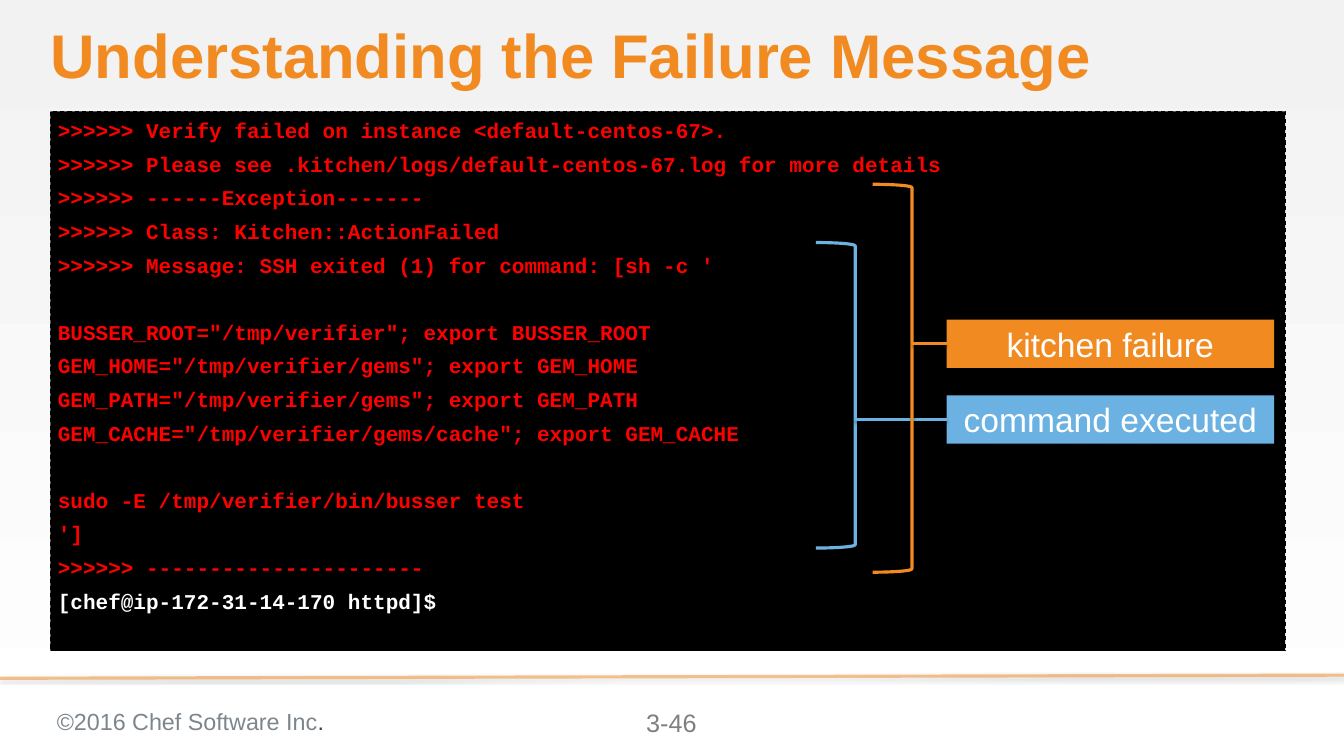
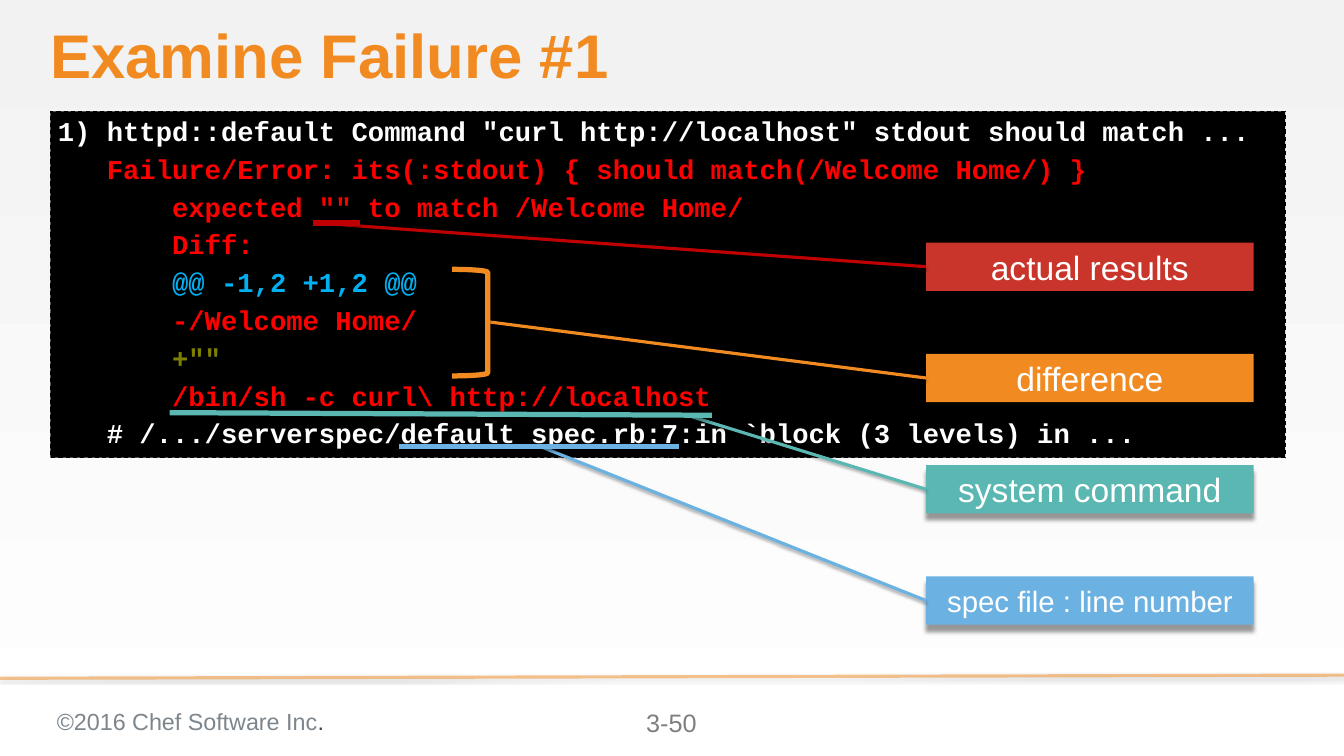
from lxml import etree
from pptx import Presentation
from pptx.dml.color import RGBColor
from pptx.enum.dml import MSO_LINE
from pptx.enum.shapes import MSO_CONNECTOR, MSO_SHAPE
from pptx.enum.text import MSO_ANCHOR as ANCHOR, PP_ALIGN as ALIGN
from pptx.oxml import parse_xml
from pptx.oxml.ns import nsdecls, qn
from pptx.util import Pt

# Colours
ORANGE = RGBColor(0xF1, 0x8B, 0x21)
BLUE = RGBColor(0x6B, 0xB2, 0xE2)
TEAL = RGBColor(0x5A, 0xB7, 0xB2)
BRICK = RGBColor(0xC9, 0x35, 0x2B)
DARK_RED = RGBColor(0xC0, 0x00, 0x00)
BLACK = RGBColor(0x00, 0x00, 0x00)
WHITE = RGBColor(0xFF, 0xFF, 0xFF)
PALE = RGBColor(0xF2, 0xF2, 0xF2)
SLATE = RGBColor(0x7D, 0x86, 0x8C)
CHARCOAL = RGBColor(0x3E, 0x43, 0x46)
GREY = RGBColor(0x7F, 0x7F, 0x7F)
CODE_RED = RGBColor(0xFF, 0x00, 0x00)
CODE_BLUE = RGBColor(0x00, 0xB0, 0xF0)
CODE_OLIVE = RGBColor(0x80, 0x80, 0x00)

# Shared measures
WIDTH, HEIGHT = 1280, 720
MARGIN, BODY_W = 48, 1176
LABEL_W, LABEL_H = 312, 46
SANS, MONO = "Arial", "Courier New"
LINE_SHADOW = (3.1, 1.8, 90, 35)  # blur, distance, angle, opacity
LABEL_SHADOW = (4, 6, 90, 40)


class Deck:
    def __init__(self):
        self.prs = Presentation()
        self.prs.slide_width, self.prs.slide_height = Pt(WIDTH), Pt(HEIGHT)
        self.s = None

    def slide(self, title, number):
        """Start a slide with its background, footer and title."""
        self.s = self.prs.slides.add_slide(self.prs.slide_layouts[6])
        fill = self.s.background.fill
        fill.gradient()
        fill.gradient_angle = 270
        for stop, color in zip(fill.gradient_stops, (PALE, WHITE)):
            stop.color.rgb = color
        self.line((WIDTH, 643), (0, 646), ORANGE, opacity=50)
        self.text((47, 666, 425, 37.5), [("©2016 Chef Software Inc", SLATE), (".", CHARCOAL)],
                  22.2, inset=7.2)
        self.text((583, 666, 113, 41), [(number, GREY)], 24, inset=7.2, align=ALIGN.CENTER)
        self.text((MARGIN, 24, BODY_W, 65.5), [(title, ORANGE)], 58.7, bold=True, spacing=0.9)

    def run(self, p, text, size, color, font=SANS, bold=False):
        r = p.add_run()
        r.text = text
        r.font.name, r.font.size, r.font.bold = font, Pt(size), bold
        r.font.color.rgb = color

    def frame(self, sp, inset=0, anchor=ANCHOR.TOP):
        tf = sp.text_frame
        tf.word_wrap, tf.vertical_anchor = True, anchor
        tf.margin_left = tf.margin_right = tf.margin_top = tf.margin_bottom = Pt(inset)
        return tf

    def text(self, box, runs, size, inset=0, align=ALIGN.LEFT, bold=False, spacing=1.0):
        sp = self.s.shapes.add_textbox(*map(Pt, box))
        p = self.frame(sp, inset).paragraphs[0]
        p.alignment, p.line_spacing = align, spacing
        for text, color in runs:
            self.run(p, text, size, color, bold=bold)

    def shape(self, kind, box, fill=None):
        sp = self.s.shapes.add_shape(kind, *map(Pt, box))
        sp.shadow.inherit = False
        if fill is None:
            sp.fill.background()
        else:
            sp.fill.solid()
            sp.fill.fore_color.rgb = fill
        return sp

    def shadow(self, sp, blur, distance, angle, opacity):
        sp_pr = sp._element.spPr
        effects = sp_pr.find(qn("a:effectLst"))
        if effects is None:
            effects = etree.SubElement(sp_pr, qn("a:effectLst"))
        effects.append(parse_xml(
            f'<a:outerShdw {nsdecls("a")} blurRad="{Pt(blur)}" dist="{Pt(distance)}" '
            f'dir="{angle * 60000}" rotWithShape="0"><a:srgbClr val="000000">'
            f'<a:alpha val="{opacity * 1000}"/></a:srgbClr></a:outerShdw>'))

    def line(self, start, end, color, width=3, opacity=100):
        c = self.s.shapes.add_connector(MSO_CONNECTOR.STRAIGHT, *map(Pt, (*start, *end)))
        c.line.color.rgb, c.line.width = color, Pt(width)
        if opacity < 100:
            rgb = c._element.spPr.find(".//" + qn("a:srgbClr"))
            etree.SubElement(rgb, qn("a:alpha")).set("val", str(opacity * 1000))
        self.shadow(c, *LINE_SHADOW)

    def bracket(self, box, color, width=3):
        sp = self.shape(MSO_SHAPE.RIGHT_BRACKET, box)
        sp.line.color.rgb, sp.line.width = color, Pt(width)
        self.shadow(sp, *LINE_SHADOW)

    def label(self, x, y, text, color, size=32):
        sp = self.shape(MSO_SHAPE.RECTANGLE, (x, y, LABEL_W, LABEL_H), color)
        sp.line.fill.background()
        self.shadow(sp, *LABEL_SHADOW)
        p = self.frame(sp, anchor=ANCHOR.MIDDLE).paragraphs[0]
        p.alignment = ALIGN.CENTER
        self.run(p, text, size, WHITE)

    def terminal(self, height, blocks, size, pitch):
        """Black console; each block of (text, colour) lines is set off by one line."""
        sp = self.shape(MSO_SHAPE.RECTANGLE, (MARGIN, 106, BODY_W, height), BLACK)
        sp.line.color.rgb, sp.line.width = BLACK, Pt(1)
        sp.line.dash_style = MSO_LINE.DASH
        tf = self.frame(sp, 7.2)
        tf.margin_top = Pt(6)
        gap = 0
        p = tf.paragraphs[0]
        for block in blocks:
            for text, color in block:
                if gap:
                    p = tf.add_paragraph()
                p.alignment, p.space_before = ALIGN.LEFT, Pt(gap)
                p.line_spacing = Pt(pitch - 8)
                self.run(p, text, size, color, MONO, True)
                gap = 8
            gap = 8 + pitch


def failure_message(d):
    d.slide("Understanding the Failure Message", "3-46")
    red_blocks = [
        [">>>>>> Verify failed on instance <default-centos-67>.",
         ">>>>>> Please see .kitchen/logs/default-centos-67.log for more details",
         ">>>>>> ------Exception-------",
         ">>>>>> Class: Kitchen::ActionFailed",
         ">>>>>> Message: SSH exited (1) for command: [sh -c '"],
        ['BUSSER_ROOT="/tmp/verifier"; export BUSSER_ROOT',
         'GEM_HOME="/tmp/verifier/gems"; export GEM_HOME',
         'GEM_PATH="/tmp/verifier/gems"; export GEM_PATH',
         'GEM_CACHE="/tmp/verifier/gems/cache"; export GEM_CACHE'],
        ["sudo -E /tmp/verifier/bin/busser test",
         "']",
         ">>>>>> ----------------------"],
    ]
    blocks = [[(text, CODE_RED) for text in block] for block in red_blocks]
    blocks[-1].append(("[chef@ip-172-31-14-170 httpd]$", WHITE))
    d.terminal(514, blocks, 20, 32)

    # Labels, then the bracket each one explains
    label_x, bracket_w = 901.5, 37.5
    notes = [("kitchen failure", ORANGE, 304.5, (831, 175.5, 369.5)),
             ("command executed", BLUE, 376.5, (777, 231, 291))]
    for text, color, y, _ in notes:
        d.label(label_x, y, text, color)
    for _, color, y, (left, top, height) in reversed(notes):
        d.bracket((left, top, bracket_w, height), color)
        middle = y + LABEL_H / 2
        d.line((left + bracket_w, middle), (label_x, middle), color)


def failure_one(d):
    d.slide("Examine Failure #1", "3-50")
    d.terminal(330, [[
        ('1) httpd::default Command "curl http://localhost" stdout should match ...', WHITE),
        ("   Failure/Error: its(:stdout) { should match(/Welcome Home/) }", CODE_RED),
        ('       expected "" to match /Welcome Home/', CODE_RED),
        ("       Diff:", CODE_RED),
        ("       @@ -1,2 +1,2 @@", CODE_BLUE),
        ("       -/Welcome Home/", CODE_RED),
        ('       +""', CODE_OLIVE),
        ("       /bin/sh -c curl\\ http://localhost", CODE_RED),
        ("   # /.../serverspec/default_spec.rb:7:in `block (3 levels) in ...", WHITE),
    ]], 25.9, 36)

    # Labels in equal steps, each with a pointer from the code
    label_x, first_y, step = 882, 231, 106
    notes = [("actual results", BRICK, 32, DARK_RED, (324.5, 214)),
             ("difference", ORANGE, 32, ORANGE, (465, 306.5)),
             ("system command", TEAL, 32, TEAL, (654.5, 395.5)),
             ("spec file : line number", BLUE, 28, BLUE, (514, 425))]
    for i, (text, color, size, _, _) in enumerate(notes):
        d.label(label_x, first_y + i * step, text, color, size)
    for i, (_, _, _, color, start) in enumerate(notes):
        d.line(start, (label_x, first_y + i * step + LABEL_H / 2), color)

    # Underlines and the bracket around the diff
    for start, end, color in [((298, 212.5), (342.5, 212.5), DARK_RED),
                              ((161.5, 393), (678, 395.5), TEAL),
                              ((380, 425), (646.5, 425), BLUE)]:
        d.line(start, end, color, 5)
    d.bracket((430.5, 256.5, 34, 101.5), ORANGE, 5)


def main():
    d = Deck()
    failure_message(d)
    failure_one(d)
    d.prs.save("out.pptx")


if __name__ == "__main__":
    main()
